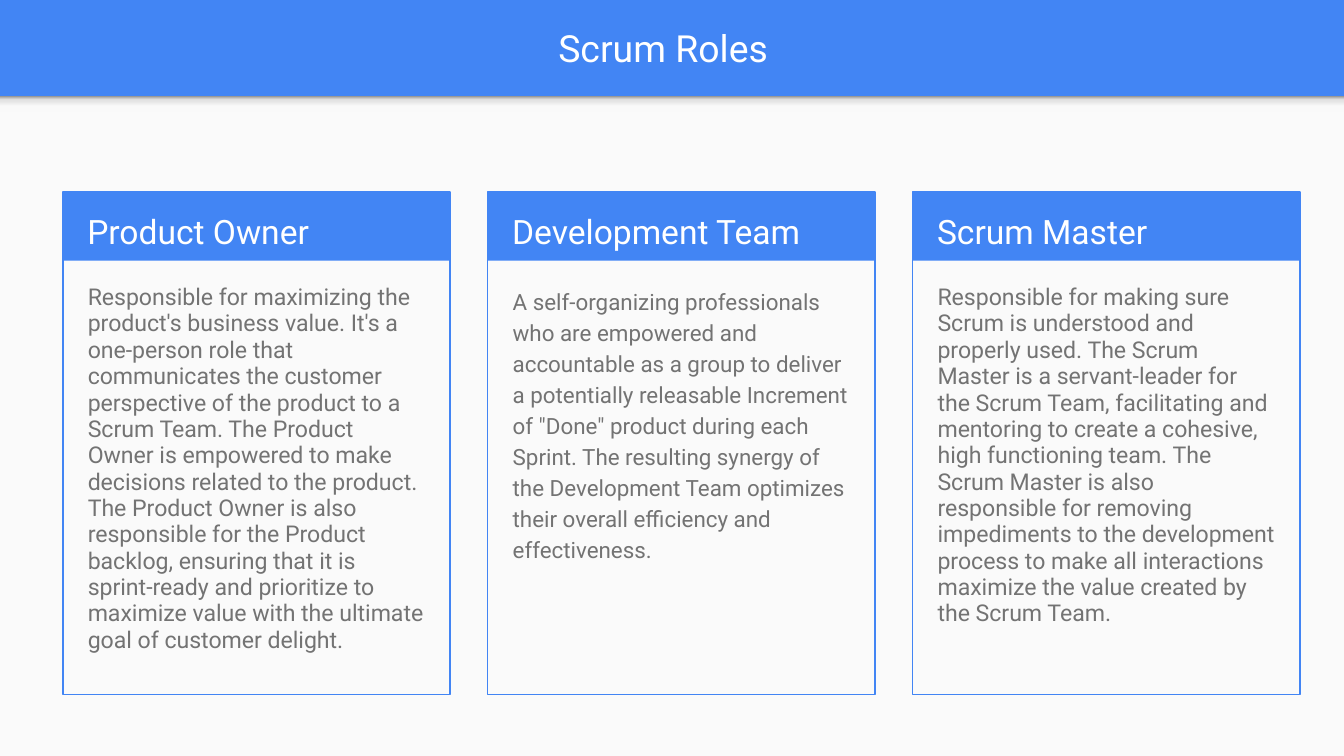
from dataclasses import dataclass

import lxml.etree
import pptx
import pptx.dml.color
import pptx.enum.shapes
import pptx.enum.text
import pptx.oxml.ns
import pptx.util
from pptx.util import Cm


@dataclass(frozen=True)
class Theme:
    font: str = "Roboto"
    blue: str = "4285F4"
    paper: str = "FAFAFA"
    white: str = "FFFFFF"
    gray: str = "737373"
    shade: tuple = ((0, "F9F9F9"), (36, "F9F9F9"), (80, "DEDEDE"), (100, "999999"))
    title_size: float = 20
    heading_size: float = 18
    body_size: float = 12
    dense_size: float = 12.4
    body_spacing: float = 1.15
    dense_spacing: float = 0.95


@dataclass(frozen=True)
class Box:
    left: float
    top: float
    width: float
    height: float

    def lengths(self):
        return Cm(self.left), Cm(self.top), Cm(self.width), Cm(self.height)


THEME = Theme()
DECK_WIDTH, DECK_HEIGHT = 25.4, 14.29
BANNER_HEIGHT = 1.82
CARD_LEFT, CARD_TOP, CARD_WIDTH, CARD_HEIGHT = 1.19, 3.63, 7.32, 9.5
CARD_PITCH = 8.03

ROLES = (
    (
        "Product Owner",
        "Responsible for maximizing the product's business value. It's a one-person role "
        "that communicates the customer perspective of the product to a Scrum Team. The "
        "Product Owner is empowered to make decisions related to the product. The Product "
        "Owner is also responsible for the Product backlog, ensuring that it is sprint-ready "
        "and prioritize to maximize value with the ultimate goal of customer delight.",
        THEME.dense_size,
        THEME.dense_spacing,
    ),
    (
        "Development Team",
        "A self-organizing professionals who are empowered and accountable as a group to "
        'deliver a potentially releasable Increment of "Done" product during each Sprint. '
        "The resulting synergy of the Development Team optimizes their overall efficiency "
        "and effectiveness.",
        THEME.body_size,
        THEME.body_spacing,
    ),
    (
        "Scrum Master",
        "Responsible for making sure Scrum is understood and properly used. The Scrum Master "
        "is a servant-leader for the Scrum Team, facilitating and mentoring to create a "
        "cohesive, high functioning team. The Scrum Master is also responsible for removing "
        "impediments to the development process to make all interactions maximize the value "
        "created by the Scrum Team.",
        THEME.dense_size,
        THEME.dense_spacing,
    ),
)


def rgb(value):
    return pptx.dml.color.RGBColor.from_string(value)


def add_rectangle(page, box, fill=None, line=None):
    shape = page.shapes.add_shape(pptx.enum.shapes.MSO_SHAPE.RECTANGLE, *box.lengths())
    shape.shadow.inherit = False
    if fill:
        shape.fill.solid()
        shape.fill.fore_color.rgb = rgb(fill)
    else:
        shape.fill.background()
    if line:
        shape.line.color.rgb = rgb(line)
        shape.line.width = pptx.util.Pt(0.75)
    else:
        shape.line.fill.background()
    return shape


def add_text(page, box, text, size, color, spacing=1.0, after=0):
    text_box = page.shapes.add_textbox(*box.lengths())
    frame = text_box.text_frame
    frame.word_wrap = True
    frame.margin_left = frame.margin_right = Cm(0.25)
    frame.margin_top = frame.margin_bottom = Cm(0.25)
    frame.text = text
    para = frame.paragraphs[0]
    para.line_spacing = spacing
    para.space_after = pptx.util.Pt(after)
    font = para.runs[0].font
    font.name = THEME.font
    font.size = pptx.util.Pt(size)
    font.color.rgb = rgb(color)
    return frame


def shade_upward(shape, stops):
    qn = pptx.oxml.ns.qn
    shape.fill.gradient()
    shape.fill.gradient_angle = 90
    stop_list = shape.element.find(".//" + qn("a:gsLst"))
    for stop in list(stop_list):
        stop_list.remove(stop)
    for percent, color in stops:
        stop = lxml.etree.SubElement(stop_list, qn("a:gs"), pos=str(percent * 1000))
        lxml.etree.SubElement(stop, qn("a:srgbClr"), val=color)


def add_banner(page, box, title):
    background = page.background.fill
    background.solid()
    background.fore_color.rgb = rgb(THEME.blue)
    bottom = box.top + box.height
    add_rectangle(page, Box(box.left, bottom, box.width, DECK_HEIGHT - bottom), THEME.paper)
    edge = add_rectangle(page, Box(box.left, bottom, box.width, 0.3), THEME.paper)
    shade_upward(edge, THEME.shade)
    title_box = Box(box.left + 0.28, box.top + 0.05, box.width - 0.89, box.height - 0.14)
    frame = add_text(page, title_box, title, THEME.title_size, THEME.white)
    frame.vertical_anchor = pptx.enum.text.MSO_ANCHOR.MIDDLE
    frame.paragraphs[0].alignment = pptx.enum.text.PP_ALIGN.CENTER


def add_role_card(page, box, heading, description, size, spacing):
    add_rectangle(page, Box(box.left, box.top, box.width, 1.3), THEME.blue)
    add_rectangle(page, box, line=THEME.blue)
    inner_left, inner_width = box.left + 0.21, box.width - 0.4
    heading_box = Box(inner_left, box.top, inner_width, 1.27)
    add_text(page, heading_box, heading, THEME.heading_size, THEME.white, 1.15)
    body_box = Box(inner_left + 0.01, box.top + 1.5, inner_width - 0.04, 7.77)
    add_text(page, body_box, description, size, THEME.gray, spacing, 12)


def main():
    deck = pptx.Presentation()
    deck.slide_width, deck.slide_height = Cm(DECK_WIDTH), Cm(DECK_HEIGHT)
    page = deck.slides.add_slide(deck.slide_layouts[6])
    add_banner(page, Box(0, 0, DECK_WIDTH, BANNER_HEIGHT), "Scrum Roles")
    for index, role in enumerate(ROLES):
        left = CARD_LEFT + index * CARD_PITCH
        add_role_card(page, Box(left, CARD_TOP, CARD_WIDTH, CARD_HEIGHT), *role)
    deck.save("out.pptx")


if __name__ == "__main__":
    main()
